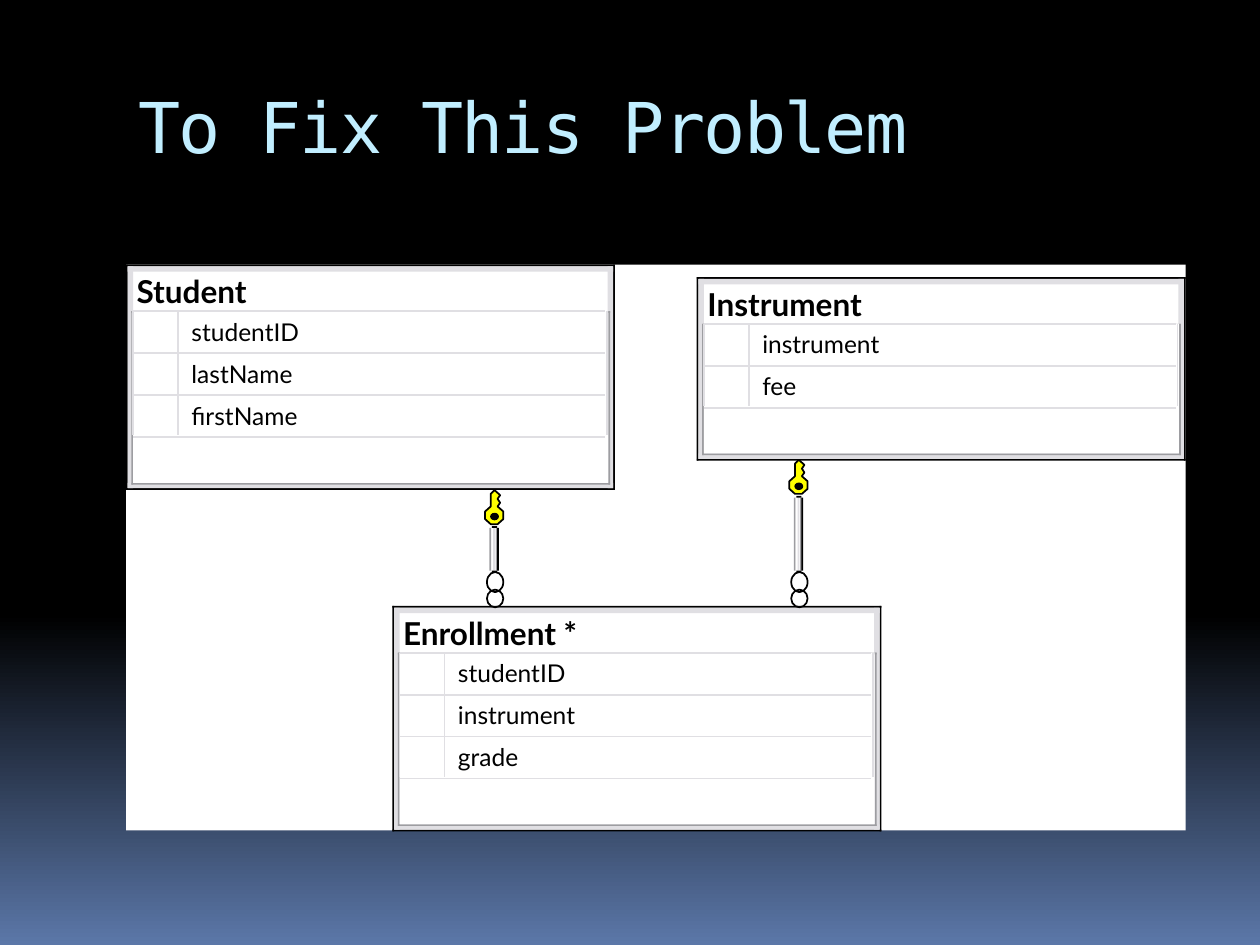
from copy import deepcopy

from pptx import Presentation
from pptx.dml.color import RGBColor
from pptx.enum.shapes import MSO_CONNECTOR, MSO_SHAPE
from pptx.oxml import parse_xml
from pptx.oxml.ns import nsdecls, qn
from pptx.util import Inches, Pt

BLACK = RGBColor(0x00, 0x00, 0x00)
WHITE = RGBColor(0xFF, 0xFF, 0xFF)
LIGHT_GREY = RGBColor(0xE0, 0xDF, 0xE3)
DARK_GREY = RGBColor(0x9D, 0x9D, 0xA1)
YELLOW = RGBColor(0xFF, 0xFF, 0x00)
TITLE_BLUE = RGBColor(0xC1, 0xEE, 0xFF)
GROUND_BLUE = RGBColor(0x5B, 0x77, 0xA8)

COLUMNS, ROWS = 100, 75
ENTITY_WIDTH, HEADER, FIELD_STEP, FOOTER = 38.8, 3.7, 3.33, 4.2
LINK_BOTTOM = 45.3
LINK_STRIPES = [(-0.4, DARK_GREY), (-0.25, WHITE), (-0.1, LIGHT_GREY),
                (0.1, DARK_GREY), (0.2, BLACK)]
KEY_OUTLINE = [(0, 0), (-0.3, 0.3), (-0.3, 1.3), (-0.75, 1.7), (-0.75, 2.3),
               (-0.3, 2.7), (0.25, 2.7), (0.7, 2.3), (0.7, 1.7), (0.25, 1.3),
               (0.45, 1), (0.25, 0.7), (0.45, 0.4)]


def grid(*cells):
    """Turn grid cells of a tenth of an inch into lengths."""
    return [Inches(cell / 10) for cell in cells]


class DiagramSlide:
    """Draws on one slide; places are columns and rows of the grid."""

    title_font = "DejaVu Sans Mono"
    body_font = "Lato"

    def __init__(self, presentation):
        self.slide = presentation.slides.add_slide(presentation.slide_layouts[6])
        self.shapes = self.slide.shapes

    def background(self):
        fill = self.slide.background.fill
        fill.gradient()
        fill.gradient_angle = 270
        first, last = fill.gradient_stops
        first.color.rgb, last.color.rgb = BLACK, GROUND_BLUE
        first.position, last.position = 0, 1
        stop = next(self.slide.element.iter(qn("a:gs")))
        middle = deepcopy(stop)
        middle.set("pos", "65000")
        stop.addnext(middle)

    def text(self, wording, left, top, width, height, size, font=body_font,
             color=BLACK, bold=False, wrap=False):
        box = self.shapes.add_textbox(*grid(left, top, width, height))
        frame = box.text_frame
        frame.word_wrap = wrap
        frame.margin_left = frame.margin_right = 0
        frame.margin_top = frame.margin_bottom = 0
        run = frame.paragraphs[0].add_run()
        run.text = wording
        run.font.name, run.font.size = font, Pt(size)
        run.font.bold, run.font.color.rgb = bold, color
        return run

    def title(self, wording):
        run = self.text(wording, 11, 6.6, 83, 9, 40, self.title_font,
                        TITLE_BLUE, wrap=True)
        run.font._element.set("spc", "-100")

    def paint(self, shape, fill, line):
        shape.shadow.inherit = False
        if fill is None:
            shape.fill.background()
        else:
            shape.fill.solid()
            shape.fill.fore_color.rgb = fill
        if line is None:
            shape.line.fill.background()
        else:
            shape.line.color.rgb = line
            shape.line.width = Pt(1)

    def shape(self, left, top, width, height, fill=None, line=None,
              kind=MSO_SHAPE.RECTANGLE):
        shape = self.shapes.add_shape(kind, *grid(left, top, width, height))
        self.paint(shape, fill, line)

    def line(self, *ends):
        line = self.shapes.add_connector(MSO_CONNECTOR.STRAIGHT, *grid(*ends))
        line.line.color.rgb = LIGHT_GREY
        line.line.width = Pt(1)
        properties = line._element.spPr
        properties.append(parse_xml(f"<a:effectLst {nsdecls('a')}/>"))

    def frame(self, left, top, width, height, thickness, color):
        """Draw four bars along the inner edges of a box."""
        for x in (left, left + width - thickness):
            self.shape(x, top, thickness, height, color)
        for y in (top, top + height - thickness):
            self.shape(left, y, width, thickness, color)

    def entity(self, name, fields, left, top):
        body_top = top + HEADER
        rows_height = FIELD_STEP * len(fields)
        height = HEADER + rows_height + FOOTER
        self.frame(left, top, ENTITY_WIDTH, height, 0.14, BLACK)
        self.frame(left + 0.14, top + 0.14, ENTITY_WIDTH - 0.28,
                   height - 0.28, 0.43, LIGHT_GREY)
        self.text(name, left + 0.85, top + 0.6, 16, 3, 18, bold=True)
        body_height = height - HEADER - 0.57
        self.frame(left + 0.43, body_top, 38, body_height + 0.14, 0.14, DARK_GREY)
        self.shape(left + 0.57, body_top, 37.7, body_height, WHITE)
        for index, field in enumerate(fields):
            self.text(field, left + 5.2, body_top + index * FIELD_STEP + 0.43,
                      11, 3, 14)
        for index in range(len(fields) + 1):
            y = body_top + index * FIELD_STEP
            self.line(left + 0.57, y, left + 38, y)
        for offset in (0.57, 4.12, 38.15):
            self.line(left + offset, body_top,
                      left + offset, body_top + rows_height - 0.15)

    def key(self, center, top):
        start, *others = [grid(center + x, top + y) for x, y in KEY_OUTLINE]
        builder = self.shapes.build_freeform(*start)
        builder.add_line_segments(others, close=True)
        self.paint(builder.convert_to_shape(), YELLOW, BLACK)
        self.shape(center - 0.35, top + 1.8, 0.7, 0.6, BLACK, kind=MSO_SHAPE.OVAL)

    def link(self, center, top):
        """Join a key on the one side to a pair of rings on the many side."""
        bar_top = top + 3
        for offset, color in LINK_STRIPES:
            self.shape(center + offset, bar_top, 0.15, LINK_BOTTOM - bar_top, color)
        for y in (bar_top - 0.15, LINK_BOTTOM):
            self.shape(center - 0.2, y, 0.4, 0.14, BLACK)
        for y, height in ((46.8, 1.4), (45.4, 1.6)):
            self.shape(center - 0.6, y, 1.3, height, line=BLACK, kind=MSO_SHAPE.OVAL)
        self.key(center, top)


def main():
    presentation = Presentation()
    presentation.slide_width, presentation.slide_height = grid(COLUMNS, ROWS)
    diagram = DiagramSlide(presentation)
    diagram.background()
    diagram.title("To Fix This Problem")
    diagram.shape(10, 21, 84.1, 44.9, WHITE)
    diagram.entity("Enrollment *", ["studentID", "instrument", "grade"], 31.15, 48.1)
    diagram.entity("Instrument", ["instrument", "fee"], 55.3, 22)
    diagram.link(63.4, 36.5)
    diagram.entity("Student", ["studentID", "lastName", "firstName"], 10, 21)
    diagram.link(39.25, 38.9)
    presentation.save("out.pptx")


if __name__ == "__main__":
    main()
